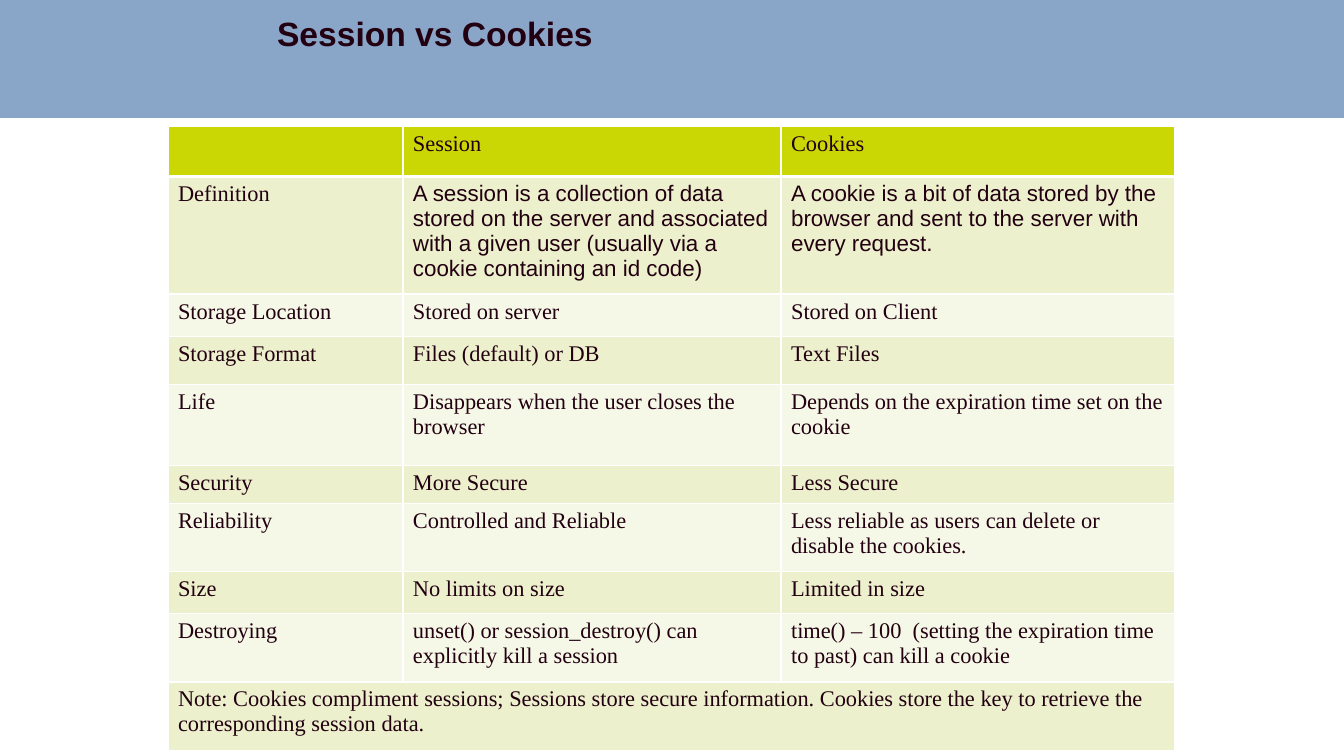
from dataclasses import dataclass

from lxml import etree
from pptx import Presentation
from pptx.dml.color import RGBColor
from pptx.enum.shapes import MSO_SHAPE
from pptx.oxml.ns import qn
from pptx.util import Inches, Pt

RECT = MSO_SHAPE.RECTANGLE
WIDTH, HEIGHT = 13.33, 7.5


@dataclass(frozen=True)
class Theme:
    band: str = "89A5C7"
    ink: str = "220011"
    header: str = "CAD704"
    odd_row: str = "ECF0CC"
    even_row: str = "F6F8E7"
    border: str = "FFFFFF"
    sans: str = "Arial"
    serif: str = "Times New Roman"
    title_size: int = 24
    cell_size: int = 16


THEME = Theme()
COLUMNS = [2.33, 3.75, 3.9]
ROWS = [
    (0.5, ["", "Session", "Cookies"]),
    (1.09, ["Definition",
            "A session is a collection of data stored on the server and associated "
            "with a given user (usually via a cookie containing an id code)",
            "A cookie is a bit of data stored by the browser and sent to the server "
            "with every request."]),
    (0.42, ["Storage Location", "Stored on server", "Stored on Client"]),
    (0.48, ["Storage Format", "Files (default) or DB", "Text Files"]),
    (0.8, ["Life", "Disappears when the user closes the browser",
           "Depends on the expiration time set on the cookie"]),
    (0.38, ["Security", "More Secure", "Less Secure"]),
    (0.67, ["Reliability", "Controlled and Reliable",
            "Less reliable as users can delete or disable the cookies."]),
    (0.42, ["Size", "No limits on size", "Limited in size"]),
    (0.68, ["Destroying", "unset() or session_destroy() can explicitly kill a session",
            "time() – 100  (setting the expiration time to past) can kill a cookie"]),
    (0.68, ["Note: Cookies compliment sessions; Sessions store secure information. "
            "Cookies store the key to retrieve the corresponding session data."]),
]


def add_run(tf, text, font, size, bold=False):
    r = tf.paragraphs[0].add_run()
    r.text = text
    r.font.name = font
    r.font.size = Pt(size)
    r.font.bold = bold
    r.font.color.rgb = RGBColor.from_string(THEME.ink)


def add_band(s, height):
    sp = s.shapes.add_shape(RECT, 0, 0, Inches(WIDTH), Inches(height))
    sp.shadow.inherit = False
    sp.fill.solid()
    sp.fill.fore_color.rgb = RGBColor.from_string(THEME.band)
    sp.line.fill.background()


def add_title(s, text, left, top, width, height):
    sp = s.shapes.add_textbox(Inches(left), Inches(top), Inches(width), Inches(height))
    sp.text_frame.word_wrap = True
    add_run(sp.text_frame, text, THEME.sans, THEME.title_size, bold=True)


def set_borders(cell, bottom):
    """Draw all four sides at 1 pt, except the bottom; the lines precede the fill."""
    props = cell._tc.get_or_add_tcPr()
    for i, (side, points) in enumerate(zip("LRTB", (1, 1, 1, bottom))):
        line = etree.Element(qn(f"a:ln{side}"), w=str(Pt(points)))
        fill = etree.SubElement(line, qn("a:solidFill"))
        etree.SubElement(fill, qn("a:srgbClr"), val=THEME.border)
        props.insert(i, line)


def row_fill(row):
    if row == 0:
        return THEME.header
    return THEME.odd_row if row % 2 else THEME.even_row


def add_comparison(s, left, top):
    heights = [height for height, _ in ROWS]
    table = s.shapes.add_table(
        len(ROWS), len(COLUMNS), Inches(left), Inches(top),
        Inches(sum(COLUMNS)), Inches(sum(heights))).table
    table.first_row = table.horz_banding = False
    for column, width in zip(table.columns, COLUMNS):
        column.width = Inches(width)
    for i, (height, texts) in enumerate(ROWS):
        table.rows[i].height = Inches(height)
        for cell in table.rows[i].cells:
            cell.fill.solid()
            cell.fill.fore_color.rgb = RGBColor.from_string(row_fill(i))
            set_borders(cell, bottom=3 if i == 0 else 1)
        for j, text in enumerate(texts):
            if text:
                font = THEME.sans if i == 1 and j else THEME.serif
                add_run(table.cell(i, j).text_frame, text, font, THEME.cell_size)
        if len(texts) == 1:
            table.cell(i, 0).merge(table.cell(i, len(COLUMNS) - 1))


def main():
    prs = Presentation()
    prs.slide_width, prs.slide_height = Inches(WIDTH), Inches(HEIGHT)
    s = prs.slides.add_slide(prs.slide_layouts[6])
    add_band(s, 1.17)
    add_title(s, "Session vs Cookies", 2.65, 0.08, 9, 0.83)
    add_comparison(s, WIDTH / 8, HEIGHT / 6)
    prs.save("out.pptx")


if __name__ == "__main__":
    main()
